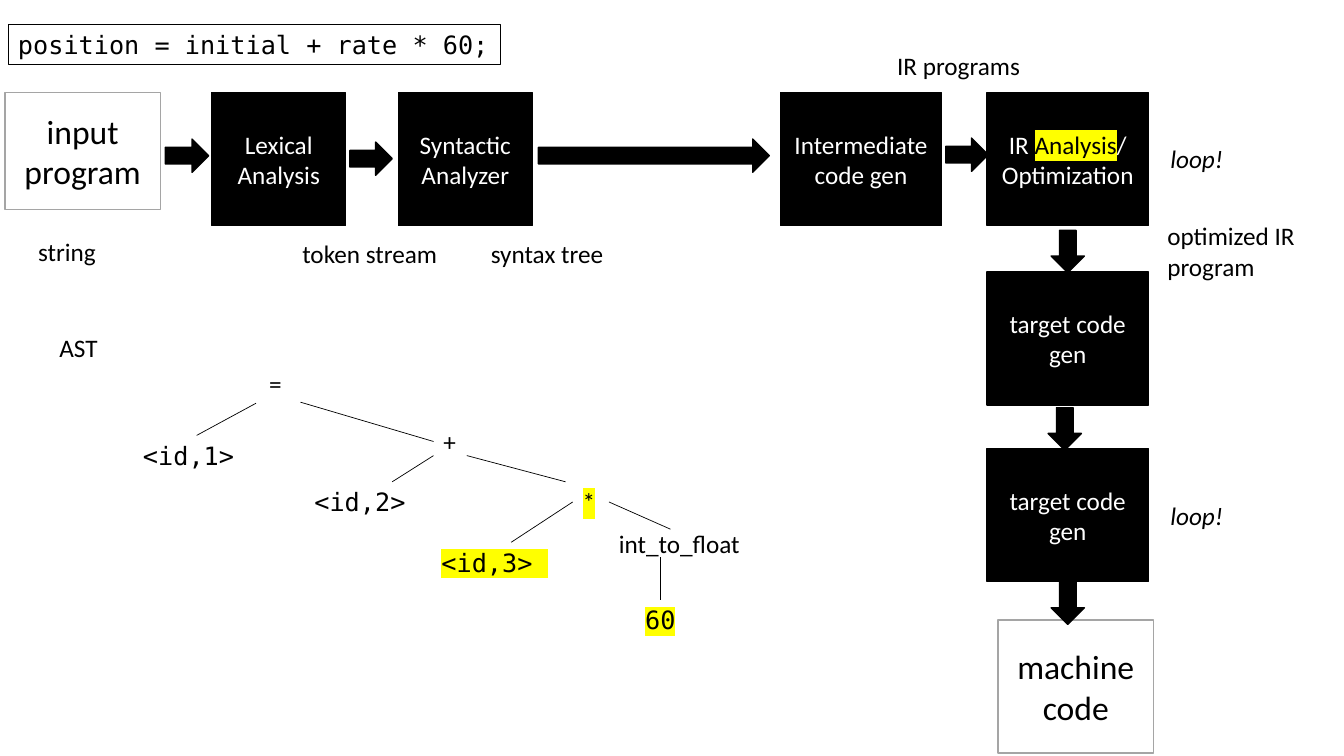
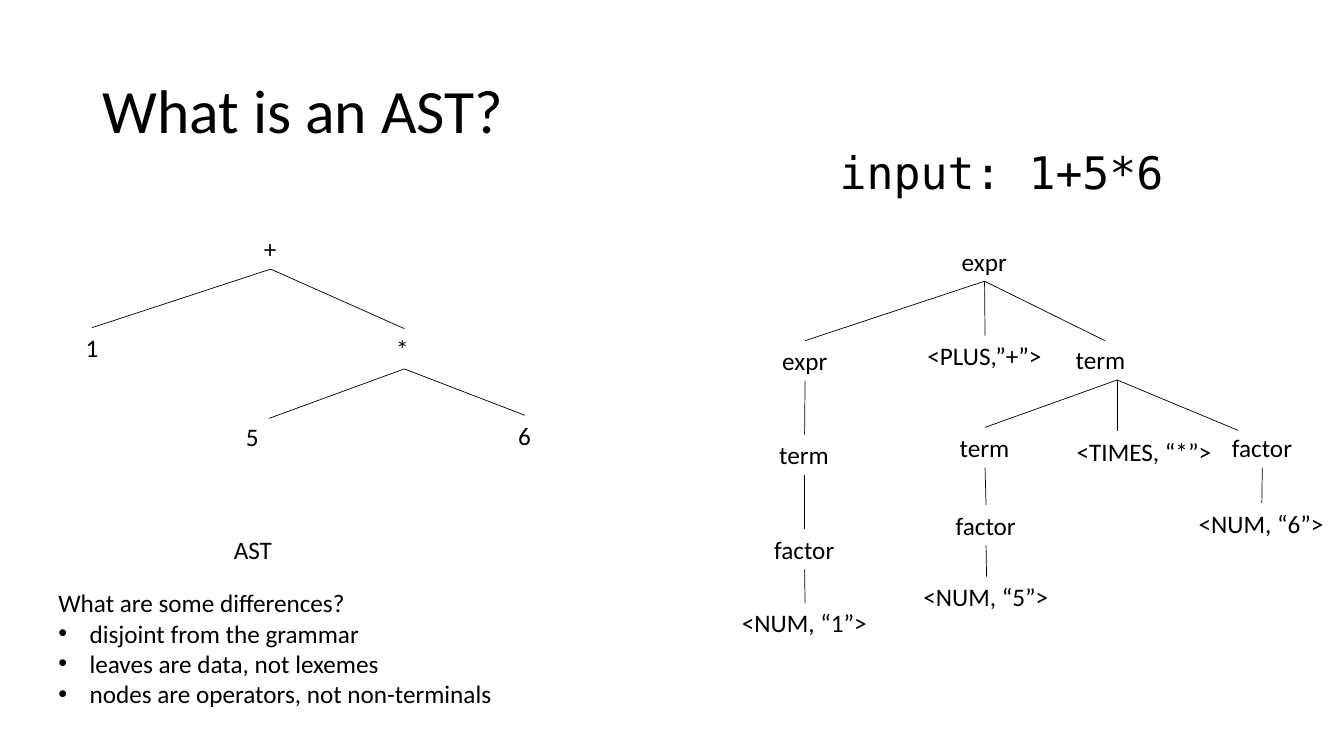
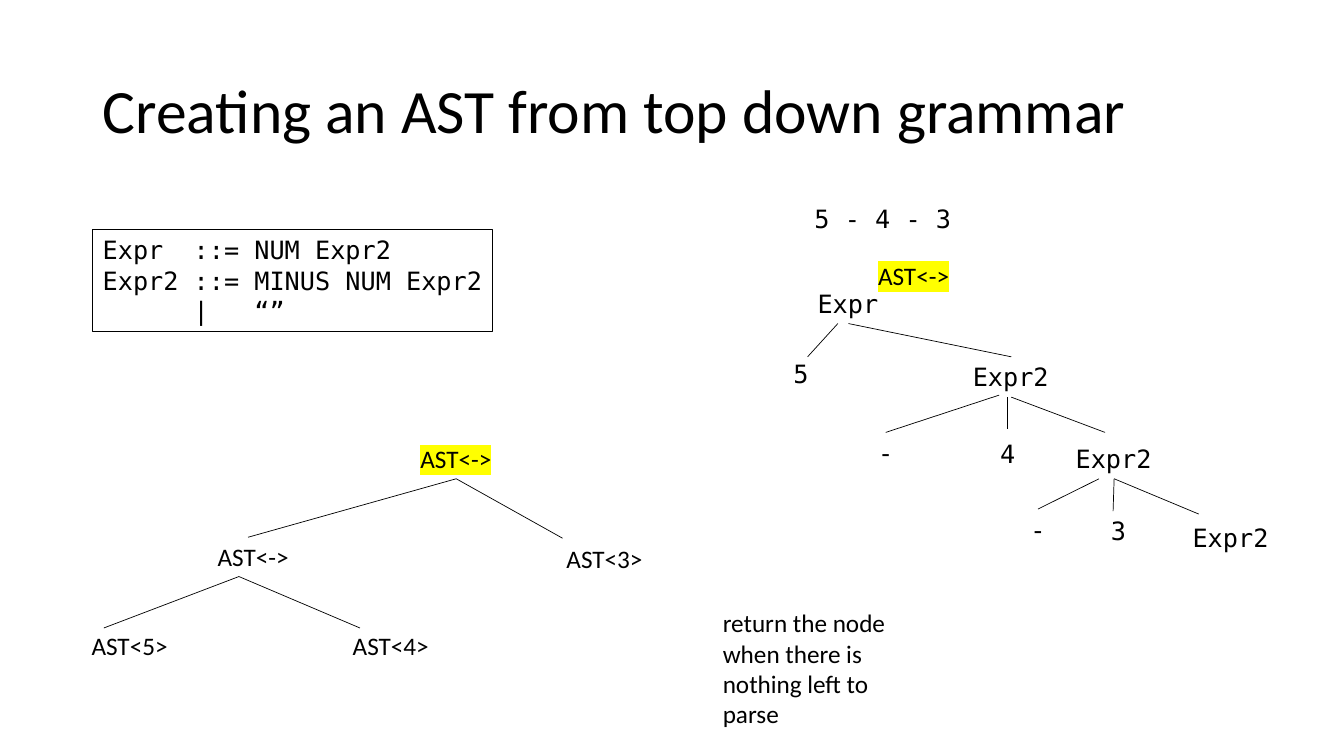
from dataclasses import dataclass

from lxml import etree
from pptx import Presentation
from pptx.dml.color import RGBColor
from pptx.enum import shapes, text
from pptx.oxml.ns import qn
from pptx.util import Inches, Pt


@dataclass(frozen=True)
class Theme:
    ink: RGBColor = RGBColor(0x00, 0x00, 0x00)
    paper: RGBColor = RGBColor(0xFF, 0xFF, 0xFF)
    frame: RGBColor = RGBColor(0xA5, 0xA5, 0xA5)
    marker: str = "FFFF00"
    body_font: str = "Calibri"
    code_font: str = "DejaVu Sans Mono"
    title_size: int = 44
    input_size: int = 32
    box_size: int = 24
    body_size: int = 18
    edge_width: float = 0.5
    code_border: float = 0.75
    box_border: float = 1


theme = Theme()
LABEL_HEIGHT = 0.4
JOIN_DISTANCE = Inches(0.03)


def add_text(slide, at, content, font=theme.body_font, size=theme.body_size,
             color=theme.ink, fill=None, border=None, border_width=theme.box_border,
             marked=None, italic=False, wrap=False, bullets=False):
    """Add a text box, or a centred rectangle if fill is given; marked is the highlighted part."""
    at = [Inches(length) for length in at]
    if fill is None:
        box = slide.shapes.add_textbox(*at)
    else:
        box = slide.shapes.add_shape(shapes.MSO_SHAPE.RECTANGLE, *at)
        box.shadow.inherit = False
        box.fill.solid()
        box.fill.fore_color.rgb = fill
    if border is not None:
        box.line.color.rgb = border
        box.line.width = Pt(border_width)
    frame = box.text_frame
    frame.word_wrap = wrap or fill is not None
    if fill is not None:
        frame.vertical_anchor = text.MSO_ANCHOR.MIDDLE

    for index, line in enumerate(content.split("\n")):
        paragraph = frame.paragraphs[0] if index == 0 else frame.add_paragraph()
        paragraph.alignment = text.PP_ALIGN.LEFT if fill is None else text.PP_ALIGN.CENTER
        if bullets and index:
            properties = paragraph._p.get_or_add_pPr()
            properties.set("marL", str(Inches(0.31)))
            properties.set("indent", str(-Inches(0.31)))
            etree.SubElement(properties, qn("a:buFont"), typeface="Arial")
            etree.SubElement(properties, qn("a:buChar"), char="•")
        paragraph.font.name = font
        paragraph.font.size = Pt(size)
        paragraph.font.italic = italic
        paragraph.font.color.rgb = color
        for part in line.partition(marked) if marked else [line]:
            if not part:
                continue
            run = paragraph.add_run()
            run.text = part
            if part == marked:
                run.font.color.rgb = theme.ink
                highlight = etree.SubElement(run._r.get_or_add_rPr(), qn("a:highlight"))
                etree.SubElement(highlight, qn("a:srgbClr"), val=theme.marker)
    return box


def add_edges(slide, fans):
    """Draw lines from each start to its ends, joined to a box where they meet its top or bottom middle."""
    sites = []
    for box in list(slide.shapes):
        middle = box.left + box.width // 2
        sites += [(box, 0, middle, box.top), (box, 2, middle, box.top + box.height)]
    for start, ends in fans:
        for end in ends:
            points = [Inches(length) for length in (*start, *end)]
            edge = slide.shapes.add_connector(shapes.MSO_CONNECTOR.STRAIGHT, *points)
            edge.line.color.rgb = theme.ink
            edge.line.width = Pt(theme.edge_width)
            etree.SubElement(edge._element.spPr, qn("a:effectLst"))
            for (x, y), join in ((points[:2], edge.begin_connect), (points[2:], edge.end_connect)):
                for box, side, site_x, site_y in sites:
                    if max(abs(site_x - x), abs(site_y - y)) <= JOIN_DISTANCE:
                        join(box, side)
                        break


deck = Presentation()
deck.slide_width = Inches(13.33)
deck.slide_height = Inches(7.5)
pipeline, ast, grammar = [deck.slides.add_slide(deck.slide_layouts[6]) for _ in range(3)]

for slide, title in ((ast, "What is an AST?"),
                     (grammar, "Creating an AST from top down grammar")):
    heading = add_text(slide, (0.92, 0.4, 11.5, 1.45), title, size=theme.title_size, wrap=True)
    heading.text_frame.vertical_anchor = text.MSO_ANCHOR.MIDDLE
    heading.text_frame.paragraphs[0].line_spacing = 0.9

# Slide 1: compiler pipeline
for at, content in (((0.05, 0.92, 1.54, 1.16), "input program"),
                    ((9.9, 6.15, 1.54, 1.32), "machine code")):
    add_text(pipeline, at, content, size=theme.box_size, fill=theme.paper, border=theme.frame)

for x, y, width, stage, marked in (
    (2.1, 0.92, 1.33, "Lexical Analysis", None),
    (3.95, 0.92, 1.33, "Syntactic Analyzer", None),
    (7.74, 0.92, 1.6, "Intermediate code gen", None),
    (9.79, 0.92, 1.6, "IR Analysis/ Optimization", "Analysis"),
    (9.79, 2.7, 1.6, "target code gen", None),
    (9.79, 4.45, 1.6, "target code gen", None),
):
    add_text(pipeline, (x, y, width, 1.32), stage, color=theme.paper,
             fill=theme.ink, border=theme.ink, marked=marked)

for x, y, width, turn in (
    (1.64, 1.38, 0.43, 0), (3.47, 1.41, 0.42, 0), (5.34, 1.38, 2.29, 0), (9.38, 1.37, 0.42, 0),
    (10.38, 2.33, 0.42, 90), (10.35, 4.09, 0.42, 90), (10.38, 5.82, 0.42, 90),
):
    arrow = pipeline.shapes.add_shape(shapes.MSO_SHAPE.RIGHT_ARROW, Inches(x), Inches(y),
                                      Inches(width), Inches(0.33))
    arrow.rotation = turn
    arrow.shadow.inherit = False
    arrow.fill.solid()
    arrow.fill.fore_color.rgb = theme.ink
    arrow.line.color.rgb = theme.ink
    arrow.line.width = Pt(theme.box_border)

add_text(pipeline, (0.08, 0.24, 4.88, LABEL_HEIGHT), "position = initial + rate * 60;",
         font=theme.code_font, border=theme.ink, border_width=theme.code_border)
add_text(pipeline, (11.48, 2.14, 1.54, 0.71), "optimized IR program", wrap=True)
for y in (1.37, 4.91):
    add_text(pipeline, (11.51, y, 0.74, LABEL_HEIGHT), "loop!", italic=True)

for x, y, width, label in (
    (0.28, 2.3, 0.78, "string"), (2.9, 2.32, 1.55, "token stream"),
    (4.77, 2.32, 1.33, "syntax tree"), (8.8, 0.45, 1.43, "IR programs"),
    (0.49, 3.25, 0.58, "AST"), (2.57, 3.6, 0.33, "="), (4.3, 4.18, 0.33, "+"),
    (6.04, 5.19, 1.41, "int_to_float"),
):
    add_text(pipeline, (x, y, width, LABEL_HEIGHT), label)
add_text(pipeline, (5.68, 4.78, 0.33, LABEL_HEIGHT), "*", marked="*")
for x, y, width, token, marked in (
    (1.32, 4.32, 1.26, "<id,1> ", None), (3.02, 4.78, 1.26, "<id,2> ", None),
    (4.28, 5.38, 1.26, "<id,3> ", "<id,3> "), (6.3, 5.95, 0.5, "60", "60"),
):
    add_text(pipeline, (x, y, width, LABEL_HEIGHT), token, font=theme.code_font, marked=marked)

add_edges(pipeline, [
    ((2.54, 4), [(1.95, 4.32)]),
    ((2.98, 3.99), [(4.3, 4.38)]),
    ((4.3, 4.52), [(3.89, 4.78)]),
    ((4.63, 4.52), [(5.61, 4.78)]),
    ((5.68, 4.98), [(5.07, 5.38)]),
    ((6.04, 4.98), [(6.65, 5.25)]),
    ((6.55, 5.53), [(6.55, 5.95)]),
])

# Slide 2: AST beside the parse tree
add_text(ast, (8.23, 1.39, 3.44, 0.64), "input: 1+5*6", font=theme.code_font, size=theme.input_size)
for x, y, width, node in (
    (2.52, 2.27, 0.33, "+"), (0.75, 3.25, 0.33, "1"), (3.83, 3.26, 0.36, "*"),
    (2.34, 4.13, 0.33, "5"), (5.04, 4.12, 0.33, "6"), (2.22, 5.25, 0.58, "AST"),
    (9.44, 2.39, 0.65, "expr"), (7.66, 3.38, 0.65, "expr"), (9.1, 3.33, 1.34, "<PLUS,”+”>"),
    (7.63, 4.31, 0.7, "term"), (7.58, 5.25, 0.8, "factor"), (7.26, 5.98, 1.45, "<NUM, “1”>"),
    (9.42, 4.24, 0.7, "term"), (10.58, 4.28, 1.55, "<TIMES, “*”>"), (12.12, 4.24, 0.8, "factor"),
    (9.38, 5.01, 0.8, "factor"), (9.06, 5.72, 1.45, "<NUM, “5”>"), (11.79, 4.99, 1.45, "<NUM, “6”>"),
):
    add_text(ast, (x, y, width, LABEL_HEIGHT), node)
add_text(ast, (10.57, 3.37, 1.02, LABEL_HEIGHT), "term", wrap=True)
add_text(ast, (0.48, 5.78, 4.55, 1.31),
         "What are some differences?\n"
         "disjoint from the grammar\n"
         "leaves are data, not lexemes\n"
         "nodes are operators, not non-terminals", wrap=True, bullets=True)

add_edges(ast, [
    ((2.69, 2.67), [(0.91, 3.25), (4.04, 3.26)]),
    ((4.01, 3.65), [(2.67, 4.15), (5.21, 4.15)]),
    ((9.77, 2.79), [(7.98, 3.38), (9.77, 3.33), (10.96, 3.38)]),
    ((7.98, 3.8), [(7.98, 4.31)]),
    ((7.98, 4.71), [(7.98, 5.25)]),
    ((7.98, 5.65), [(7.98, 5.98)]),
    ((11.08, 3.77), [(9.74, 4.27), (11.08, 4.28), (12.28, 4.27)]),
    ((9.77, 4.66), [(9.76, 4.99)]),
    ((9.79, 5.41), [(9.79, 5.72)]),
    ((12.52, 4.64), [(12.52, 4.99)]),
])

# Slide 3: AST built from the grammar
add_text(grammar, (0.92, 2.28, 3.97, 1.01),
         "Expr  ::= NUM Expr2\n"
         "Expr2 ::= MINUS NUM Expr2\n"
         "      |   “”",
         font=theme.code_font, border=theme.ink, border_width=theme.code_border)
for x, y, width, symbol in (
    (7.98, 1.97, 1.56, "5 - 4 - 3"), (8.01, 2.81, 0.81, "Expr"),
    (7.77, 3.51, 0.35, "5"), (9.55, 3.54, 0.96, "Expr2"),
    (8.61, 4.29, 0.35, "-"), (9.82, 4.3, 0.35, "4"), (10.57, 4.35, 0.96, "Expr2"),
    (10.12, 5.05, 0.35, "-"), (10.92, 5.06, 0.35, "3"), (11.73, 5.13, 0.96, "Expr2"),
):
    add_text(grammar, (x, y, width, LABEL_HEIGHT), symbol, font=theme.code_font)
for x, y, width, node, marked in (
    (8.61, 2.53, 0.91, "AST<->", "AST<->"), (4.07, 4.35, 0.91, "AST<->", "AST<->"),
    (2.06, 5.32, 0.91, "AST<->", None), (5.52, 5.34, 0.96, "AST<3>", None),
    (0.81, 6.2, 0.96, "AST<5>", None), (3.4, 6.2, 0.96, "AST<4>", None),
):
    add_text(grammar, (x, y, width, LABEL_HEIGHT), node, marked=marked)
add_text(grammar, (7.07, 5.98, 2.18, 1.31),
         "return the node when there is nothing left to parse", wrap=True)

add_edges(grammar, [
    ((8.31, 3.21), [(8.01, 3.54)]),
    ((8.41, 3.21), [(10.03, 3.54)]),
    ((9.91, 3.92), [(8.78, 4.29)]),
    ((9.99, 3.94), [(9.99, 4.26)]),
    ((10.03, 3.94), [(10.96, 4.29)]),
    ((10.9, 4.75), [(10.29, 5.05)]),
    ((11.04, 4.75), [(11.04, 5.07), (11.89, 5.1)]),
    ((4.53, 4.75), [(2.46, 5.33), (5.58, 5.34)]),
    ((2.37, 5.72), [(1.03, 6.23), (3.57, 6.23)]),
])

deck.save("out.pptx")
